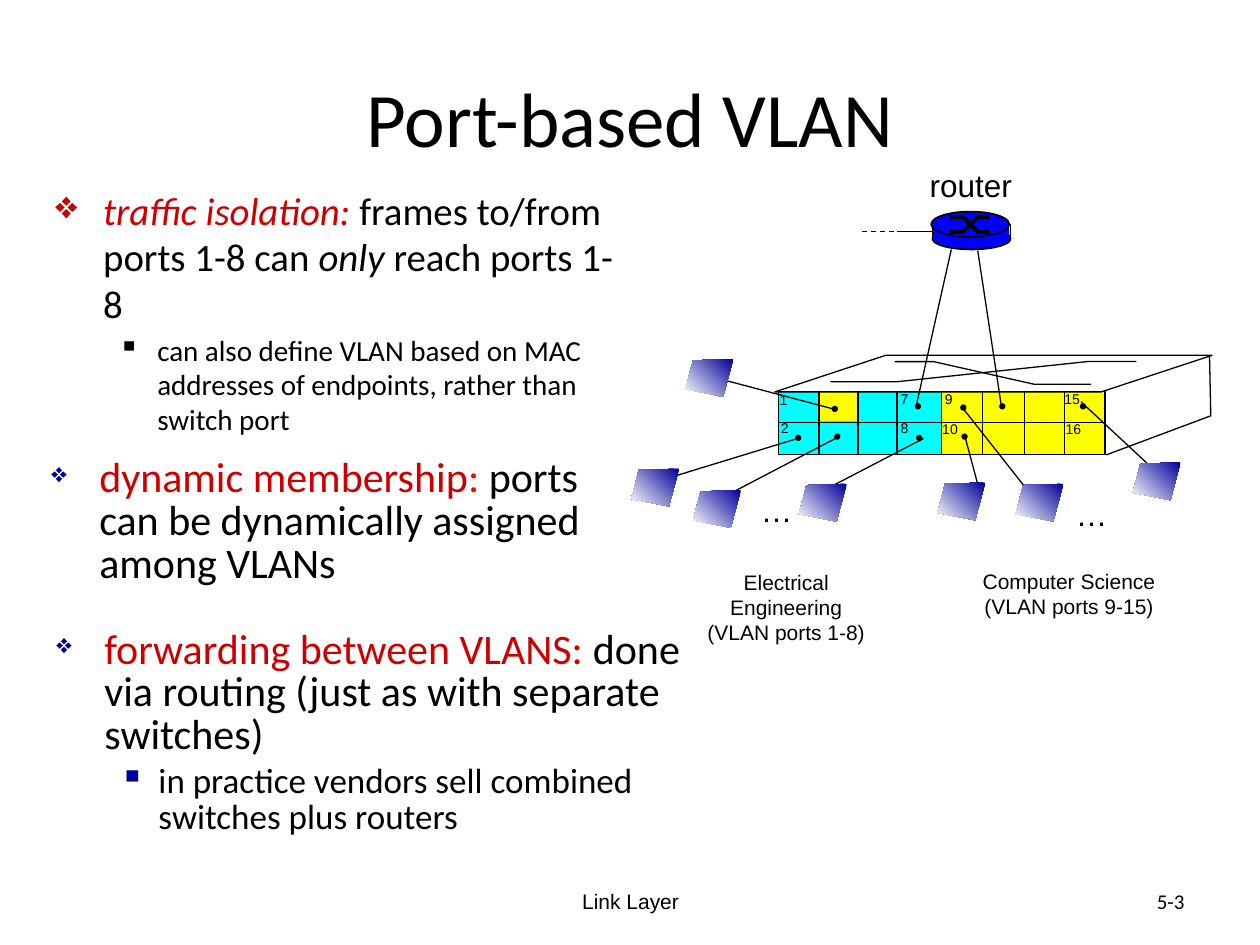
from dataclasses import dataclass, field
from itertools import pairwise

from lxml import etree
from pptx import Presentation
from pptx import util as u
from pptx.dml.color import RGBColor
from pptx.enum import dml, shapes, text
from pptx.oxml import ns

BLACK = RGBColor(0x00, 0x00, 0x00)
WHITE = RGBColor(0xFF, 0xFF, 0xFF)
RED = RGBColor(0xCC, 0x00, 0x00)
BRIGHT_RED = RGBColor(0xFF, 0x00, 0x00)
NAVY = RGBColor(0x00, 0x00, 0x99)
BLUE = RGBColor(0x00, 0x00, 0xFF)
CYAN = RGBColor(0x00, 0xFF, 0xFF)
YELLOW = RGBColor(0xFF, 0xFF, 0x00)

SHAPE = shapes.MSO_SHAPE
ALIGN = text.PP_ALIGN
ANCHOR = text.MSO_ANCHOR


@dataclass
class Span:
    words: str
    color: RGBColor = BLACK
    italic: bool = False


@dataclass
class Para:
    spans: list[Span]
    size: float
    face: str = "Calibri"
    bullet: str = ""
    level: int = 0
    bullet_color: RGBColor | None = None
    bullet_percent: int = 100
    form: dict = field(default_factory=dict)


@dataclass
class Box:
    left: float
    top: float
    width: float
    height: float
    paras: list[Para]
    wrap: bool = True
    anchor: ANCHOR = ANCHOR.TOP


@dataclass
class Block:
    left: float
    top: float
    width: float
    height: float
    fill: RGBColor | None
    kind: SHAPE = SHAPE.RECTANGLE
    line: float = 0


@dataclass
class Wire:
    x1: float
    y1: float
    x2: float
    y2: float
    weight: float = 0.75
    dashed: bool = False


def apply_format(target, values: dict) -> None:
    for name, value in values.items():
        setattr(target, name, value)


def add_bullet(paragraph, para: Para) -> None:
    props = paragraph._p.get_or_add_pPr()
    margin, hang = ((0.38, 0.38), (0.81, 0.31))[para.level]
    props.set("marL", str(u.Inches(margin)))
    props.set("indent", str(-u.Inches(hang)))
    if para.bullet_color is not None:
        holder = etree.SubElement(props, ns.qn("a:buClr"))
        etree.SubElement(holder, ns.qn("a:srgbClr"), val=str(para.bullet_color))
    etree.SubElement(props, ns.qn("a:buSzPct"), val=str(para.bullet_percent * 1000))
    etree.SubElement(props, ns.qn("a:buChar"), char=para.bullet)


def draw_box(page, box: Box) -> None:
    frame = page.shapes.add_textbox(
        *map(u.Inches, (box.left, box.top, box.width, box.height))).text_frame
    apply_format(frame, {"word_wrap": box.wrap, "vertical_anchor": box.anchor})
    for index, para in enumerate(box.paras):
        paragraph = frame.add_paragraph() if index else frame.paragraphs[0]
        apply_format(paragraph, {"level": para.level, **para.form})
        if para.bullet:
            add_bullet(paragraph, para)
            if index:
                paragraph.space_before = u.Pt(round(para.size * 0.2, 1))
        for span in para.spans:
            run = paragraph.add_run()
            run.text = span.words
            apply_format(run.font, {"name": para.face, "size": u.Pt(para.size),
                                    "italic": span.italic})
            run.font.color.rgb = span.color


def paint(shape, fill: RGBColor | None, weight: float) -> None:
    shape.shadow.inherit = False
    if fill is None:
        shape.fill.background()
    else:
        shape.fill.solid()
        shape.fill.fore_color.rgb = fill
    if weight:
        shape.line.color.rgb = BLACK
        shape.line.width = u.Pt(weight)
    else:
        shape.line.fill.background()


def draw_block(page, block: Block):
    shape = page.shapes.add_shape(
        block.kind, *map(u.Inches, (block.left, block.top, block.width, block.height)))
    paint(shape, block.fill, block.line)
    return shape


def draw_wire(page, wire: Wire):
    connector = page.shapes.add_connector(
        shapes.MSO_CONNECTOR.STRAIGHT,
        *map(u.Inches, (wire.x1, wire.y1, wire.x2, wire.y2)))
    connector.line.color.rgb = BLACK
    connector.line.width = u.Pt(wire.weight)
    if wire.dashed:
        connector.line.dash_style = dml.MSO_LINE.DASH
    etree.SubElement(connector._element.spPr, ns.qn("a:effectLst"))
    return connector


def draw_outline(page, points: list[tuple[float, float]], close: bool = False):
    corners = [(u.Inches(x), u.Inches(y)) for x, y in points]
    builder = page.shapes.build_freeform(*corners[0])
    builder.add_line_segments(corners[1:], close=close)
    shape = builder.convert_to_shape()
    paint(shape, None, 0 if close else 0.75)
    return shape


def draw_screen(page, left: float, top: float) -> None:
    corners = ((0.38, 0), (0.06, 0.01), (0, 0.24), (0.3, 0.3))
    shape = draw_outline(page, [(left + x, top + y) for x, y in corners], True)
    shape.fill.gradient()
    shape.fill.gradient_angle = 225
    for stop, color, place in zip(shape.fill.gradient_stops, (NAVY, WHITE), (0, 1)):
        stop.color.rgb = color
        stop.position = place


def draw_switch(page) -> None:
    edges = (6.18, 6.5, 6.81, 7.12, 7.47, 7.8, 8.13, 8.45, 8.77)
    for row, (top, height) in enumerate(((3.1, 0.24), (3.34, 0.27))):
        for column, (left, right) in enumerate(pairwise(edges)):
            color = YELLOW if column > 3 or (row, column) == (0, 1) else CYAN
            draw_block(page, Block(left, top, right - left, height, color))
    front = draw_block(page, Block(6.18, 3.1, 2.59, 0.51, None, line=0.75))
    divider = draw_wire(page, Wire(6.18, 3.34, 8.77, 3.34))
    divider.begin_connect(front, 1)
    divider.end_connect(front, 3)
    for x in edges[1:-1]:
        draw_wire(page, Wire(x, 3.11, x, 3.61))
    lid = draw_block(page, Block(6.15, 2.82, 3.47, 0.29, WHITE, SHAPE.PARALLELOGRAM, 0.75))
    lid.adjustments[0] = 3.03
    draw_outline(page, [(8.78, 3.61), (9.61, 3.3), (9.6, 2.82)])
    draw_outline(page, [(6.59, 3.03), (7.12, 3.03), (8.63, 2.87), (9.02, 2.87)])
    draw_outline(page, [(7.1, 2.87), (7.41, 2.87), (8.21, 3.05), (8.66, 3.05)])
    ports = (("1", 6.09, 3.06), ("2", 6.1, 3.28), ("7", 7.05, 3.05), ("8", 7.05, 3.28),
             ("9", 7.4, 3.05), ("10", 7.38, 3.29), ("15", 8.35, 3.05), ("16", 8.36, 3.29))
    for number, left, top in ports:
        draw_box(page, label(left, top, 0.19 + 0.07 * len(number), 0.23, 8, number))


def draw_router(page) -> None:
    draw_block(page, Block(7.4, 1.81, 0.62, 0.17, BLUE, SHAPE.OVAL, 1))
    draw_block(page, Block(7.4, 1.8, 0.61, 0.11, BLUE))
    for x in (7.4, 8.02):
        draw_wire(page, Wire(x, 1.78, x, 1.91, 1))
    draw_block(page, Block(7.39, 1.68, 0.62, 0.2, BLUE, SHAPE.OVAL, 1))
    for start, end in ((1.72, 1.84), (1.84, 1.72)):
        for wire in (Wire(7.54, start, 7.65, start, 2.25),
                     Wire(7.64, start, 7.76, end, 2.25),
                     Wire(7.75, end, 7.85, end, 2.25)):
            draw_wire(page, wire)


def label(left: float, top: float, width: float, height: float, size: float,
          *lines: str, wrap: bool = False, align: ALIGN = ALIGN.LEFT,
          face: str = "Arial", anchor: ANCHOR = ANCHOR.TOP) -> Box:
    paras = [Para([Span(line)], size, face, form={"alignment": align}) for line in lines]
    return Box(left, top, width, height, paras, wrap, anchor)


TIGHT = {"line_spacing": 0.85}
TOPIC = {"size": 24, "bullet": "❖", "bullet_color": NAVY, "bullet_percent": 65, "form": TIGHT}
MIDDLE = {"wrap": True, "anchor": ANCHOR.MIDDLE}
BOXES = [
    label(0.5, 0.3, 9, 1.25, 44, "Port-based VLAN", align=ALIGN.CENTER, face="Calibri", **MIDDLE),
    label(3.42, 6.95, 3.17, 0.4, 12, "Link Layer", align=ALIGN.CENTER, **MIDDLE),
    label(7.17, 6.95, 2.33, 0.4, 12, "5-3", align=ALIGN.RIGHT, face="Calibri", **MIDDLE),
    Box(0.34, 1.43, 4.65, 1.93, [
        Para([Span("traffic isolation: ", RED, True), Span("frames to/from ports 1-8 can "),
              Span("only", italic=True), Span(" reach ports 1-8")], 22.2, bullet="❖"),
        Para([Span("can also define VLAN based on MAC addresses of endpoints, "
                   "rather than switch port")], 16.6, bullet="▪", level=1)]),
    Box(0.31, 3.59, 4.44, 1.76, [
        Para([Span("dynamic membership", RED), Span(":", BRIGHT_RED),
              Span(" ports can be dynamically assigned among VLANs")], **TOPIC)]),
    Box(0.35, 4.95, 5.47, 1.76, [
        Para([Span("forwarding between VLANS: ", RED),
              Span("done via routing (just as with separate switches)")], **TOPIC),
        Para([Span("in practice vendors sell combined switches plus routers")], 20,
             bullet="▪", level=1, bullet_color=NAVY, form=TIGHT)]),
    label(7.28, 1.27, 0.86, 0.4, 18, "router"),
    label(5.94, 3.85, 0.45, 0.4, 18, "…"),
    label(8.44, 3.88, 0.45, 0.4, 18, "…"),
    label(5.39, 4.47, 1.7, 0.5, 12, "Electrical Engineering", "(VLAN ports 1-8)",
          wrap=True, align=ALIGN.CENTER),
    label(7.7, 4.46, 1.57, 0.5, 12, "Computer Science", "(VLAN ports 9-15)", align=ALIGN.CENTER),
]
WIRES = [
    Wire(6.33, 3.48, 5.35, 3.78), Wire(6.65, 3.47, 5.77, 3.93), Wire(7.33, 3.48, 6.56, 3.88),
    Wire(7.66, 3.47, 7.77, 3.88), Wire(7.65, 3.25, 8.17, 3.91), Wire(8.58, 3.19, 9.15, 3.72),
    Wire(6.63, 3.25, 5.76, 3.02), Wire(7.27, 3.23, 7.55, 1.98), Wire(7.95, 3.24, 7.76, 1.99),
    Wire(7.12, 1.84, 7.4, 1.84), Wire(6.84, 1.84, 7.11, 1.84, dashed=True),
]
DOTS = [(6.31, 3.45), (6.62, 3.44), (7.27, 3.45), (7.63, 3.44), (7.62, 3.21),
        (8.57, 3.2), (7.26, 3.2), (7.93, 3.2), (6.6, 3.22)]
SCREENS = [(5.01, 3.72), (5.5, 3.89), (6.34, 3.84), (7.44, 3.83), (8.06, 3.84),
           (8.99, 3.67), (5.44, 2.85)]


def main() -> None:
    deck = Presentation()
    apply_format(deck, {"slide_width": u.Inches(10), "slide_height": u.Inches(7.5)})
    page = deck.slides.add_slide(deck.slide_layouts[6])
    draw_switch(page)
    for box in BOXES:
        draw_box(page, box)
    draw_router(page)
    for wire in WIRES:
        draw_wire(page, wire)
    for left, top in DOTS:
        draw_block(page, Block(left, top, 0.05, 0.05, BLACK, SHAPE.OVAL))
    for left, top in SCREENS:
        draw_screen(page, left, top)
    deck.save("out.pptx")


if __name__ == "__main__":
    main()
